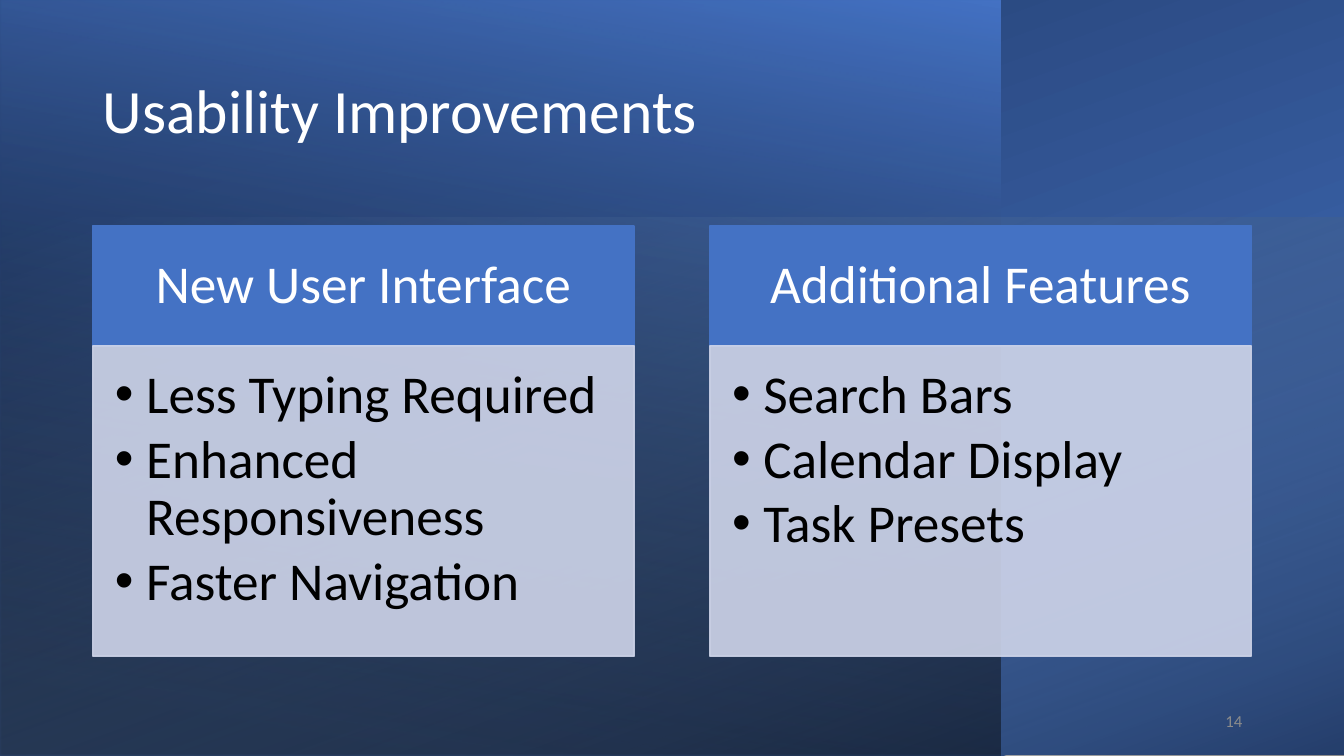
from lxml.etree import SubElement
from pptx import Presentation
from pptx.dml.color import RGBColor
from pptx.enum.shapes import MSO_SHAPE as Shape
from pptx.enum.text import MSO_ANCHOR as Anchor, MSO_AUTO_SIZE as AutoSize, PP_ALIGN as Align
from pptx.oxml import parse_xml
from pptx.oxml.ns import nsdecls, qn
from pptx.util import Inches, Pt

COLORS = {
    "blue": "4472C4", "navy": "203864", "sky": "9DC3E6", "panel": "CFD5EA",
    "white": "FFFFFF", "black": "000000", "gray": "8C8C8C",
}
FONT = "Calibri"
TITLE = "Usability Improvements"
PAGE_NUMBER = "14"
COLUMNS = [
    ("New User Interface",
     ["Less Typing Required", "Enhanced Responsiveness", "Faster Navigation"]),
    ("Additional Features",
     ["Search Bars", "Calendar Display", "Task Presets"]),
]
BACKDROPS = [
    ((2.92, -2.92, 7.5, 13.33), 270, 200, [(8, "blue", 100), (100, "navy", 100)]),
    ((0, 0, 9.92, 7.5), 180, 80, [(8, "black", 52), (100, "blue", 100)]),
    ((3.99, -1.84, 5.35, 13.34), 270, 20, [(0, "sky", 0), (100, "black", 46)]),
]
LEFT, COLUMN_WIDTH, COLUMN_STEP = 0.92, 5.37, 6.12
HEADING_TOP, HEADING_HEIGHT = 2.24, 1.2
LIST_TOP, LIST_HEIGHT = 3.43, 3.08
INDENT = 0.31

HEADING_FORMAT = {"alignment": Align.CENTER, "line_spacing": 0.9, "space_before": Pt(0)}
LIST_FORMAT = {"level": 1, "alignment": Align.LEFT, "line_spacing": 0.9,
               "space_before": Pt(0), "space_after": Pt(5)}


def rgb(name):
    return RGBColor.from_string(COLORS[name])


def place(box, area):
    for name, value in zip(("left", "top", "width", "height"), area):
        setattr(box, name, Inches(value))


def write(box, lines, size, color, anchor, insets, para_format):
    frame = box.text_frame
    frame.text = "\n".join(lines)
    margins = zip(("left", "top", "right", "bottom"), insets)
    frame_format = {f"margin_{side}": Inches(inset) for side, inset in margins}
    frame_format |= {"word_wrap": True, "auto_size": AutoSize.NONE, "vertical_anchor": anchor}
    for name, value in frame_format.items():
        setattr(frame, name, value)
    for para in frame.paragraphs:
        for name, value in para_format.items():
            setattr(para, name, value)
        for span in para.runs:
            for name, value in {"name": FONT, "size": Pt(size), "bold": False}.items():
                setattr(span.font, name, value)
            span.font.color.rgb = rgb(color)


def paint(box, color, opacity=100):
    box.fill.solid()
    box.fill.fore_color.rgb = rgb(color)
    box.line.color.rgb = rgb(color)
    box.line.width = Pt(1)
    if opacity < 100:
        for tint in box._element.spPr.iter(qn("a:srgbClr")):
            SubElement(tint, qn("a:alpha"), val=str(opacity * 1000))


def add_bullets(box):
    for para in box.text_frame.paragraphs:
        props = para._p.get_or_add_pPr()
        props.set("marL", str(Inches(INDENT)))
        props.set("indent", str(-Inches(INDENT)))
        SubElement(props, qn("a:buFont"), typeface="Arial")
        SubElement(props, qn("a:buChar"), char="•")


def add_backdrop(page, position, area, rotation, angle, stops):
    box = page.shapes.add_shape(Shape.RECTANGLE, *map(Inches, area))
    box.shadow.inherit = False
    box.rotation = rotation
    box.line.fill.background()
    props = box._element.spPr
    props.xfrm.set("flipH", "1")
    marks = "".join(
        f'<a:gs pos="{stop * 1000}"><a:srgbClr val="{COLORS[color]}">'
        f'<a:alpha val="{opacity * 1000}"/></a:srgbClr></a:gs>'
        for stop, color, opacity in stops)
    props.insert(2, parse_xml(
        f'<a:gradFill {nsdecls("a")}><a:gsLst>{marks}</a:gsLst>'
        f'<a:lin ang="{angle * 60000}" scaled="0"/></a:gradFill>'))
    page.shapes._spTree.insert(2 + position, box._element)


def main():
    deck = Presentation()
    deck.slide_width, deck.slide_height = Inches(13.33), Inches(7.5)
    page = deck.slides.add_slide(deck.slide_layouts.get_by_name("Comparison"))
    title, *column_boxes = page.placeholders

    for position, backdrop in enumerate(BACKDROPS):
        add_backdrop(page, position, *backdrop)

    place(title, (LEFT, 0.4, 11.5, 1.45))
    write(title, [TITLE], 44, "white", Anchor.MIDDLE, (0.1, 0.05, 0.1, 0.05),
          {"alignment": Align.LEFT, "line_spacing": 0.9})

    for column, (heading, items) in enumerate(COLUMNS):
        heading_box, list_box = column_boxes[2 * column:2 * column + 2]
        left = LEFT + column * COLUMN_STEP
        place(heading_box, (left, HEADING_TOP, COLUMN_WIDTH, HEADING_HEIGHT))
        paint(heading_box, "blue")
        write(heading_box, [heading], 38, "white", Anchor.MIDDLE,
              (0.3, 0.17, 0.3, 0.17), HEADING_FORMAT)
        place(list_box, (left, LIST_TOP, COLUMN_WIDTH, LIST_HEIGHT))
        paint(list_box, "panel", 90)
        write(list_box, items, 38, "black", Anchor.TOP,
              (0.22, 0.22, 0.3, 0.33), LIST_FORMAT)
        add_bullets(list_box)

    number_box = page.shapes.add_textbox(*map(Inches, (9.42, 6.95, 3, 0.4)))
    write(number_box, [PAGE_NUMBER], 12, "gray", Anchor.MIDDLE,
          (0.1, 0.05, 0.1, 0.05), {"alignment": Align.RIGHT})
    deck.save("out.pptx")


if __name__ == "__main__":
    main()
